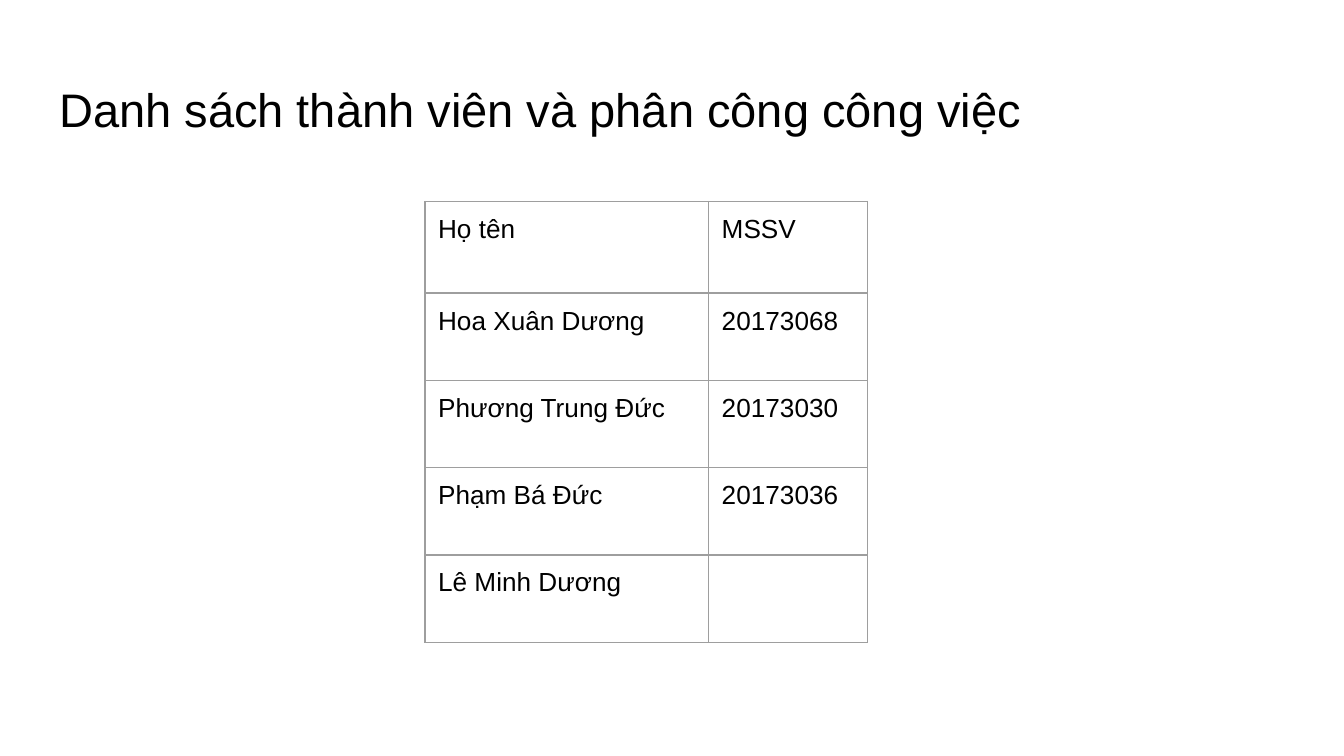
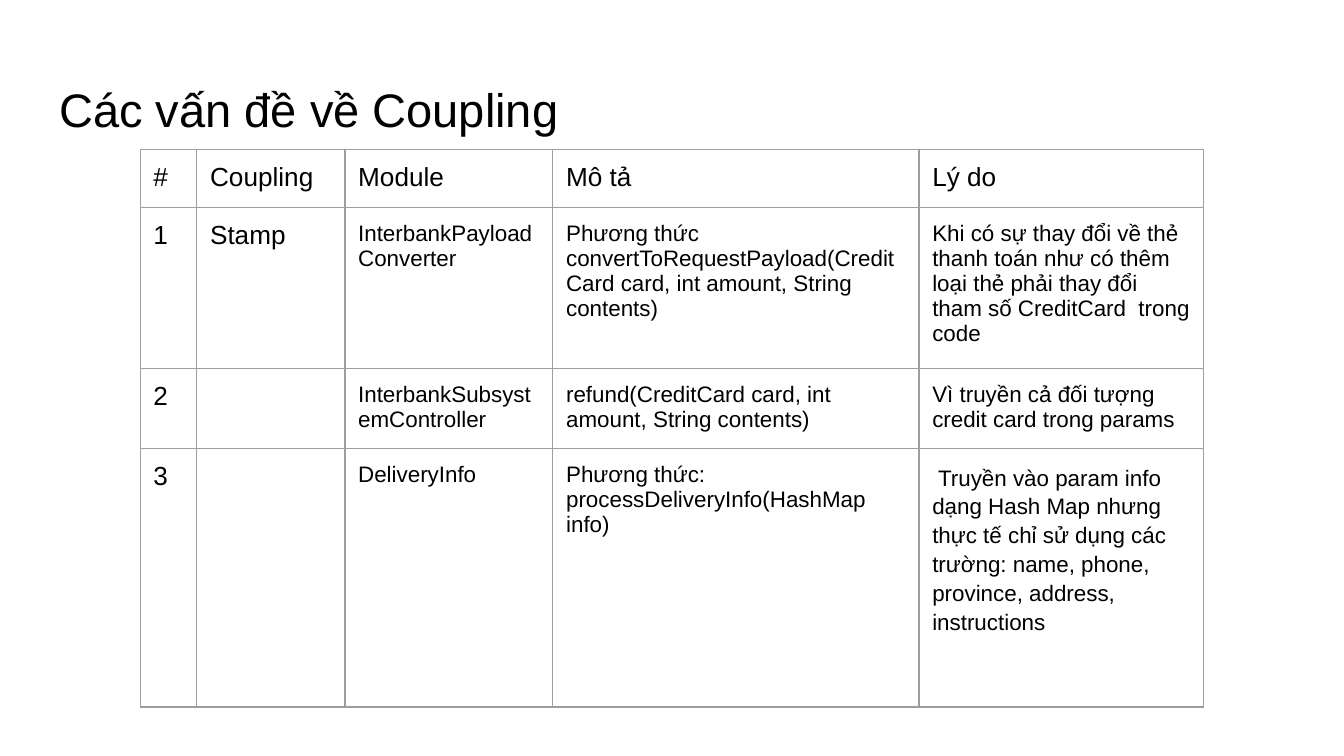
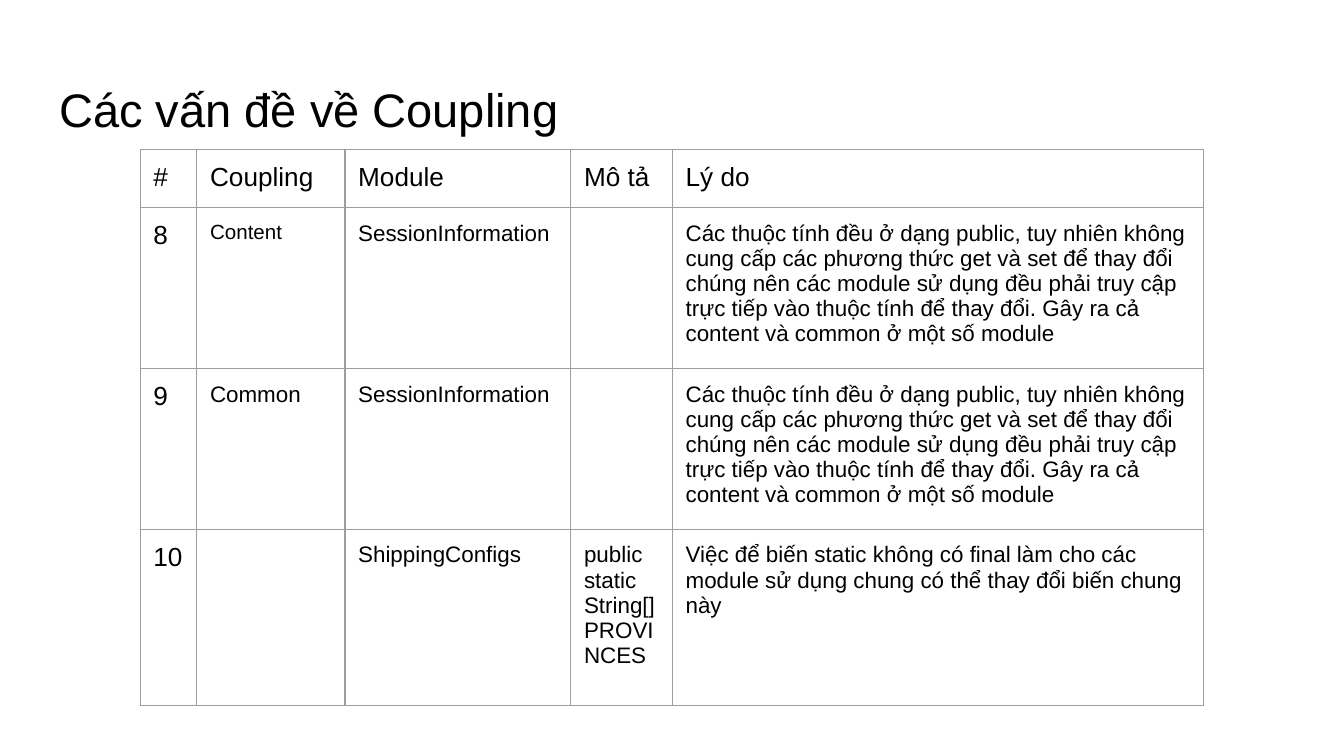
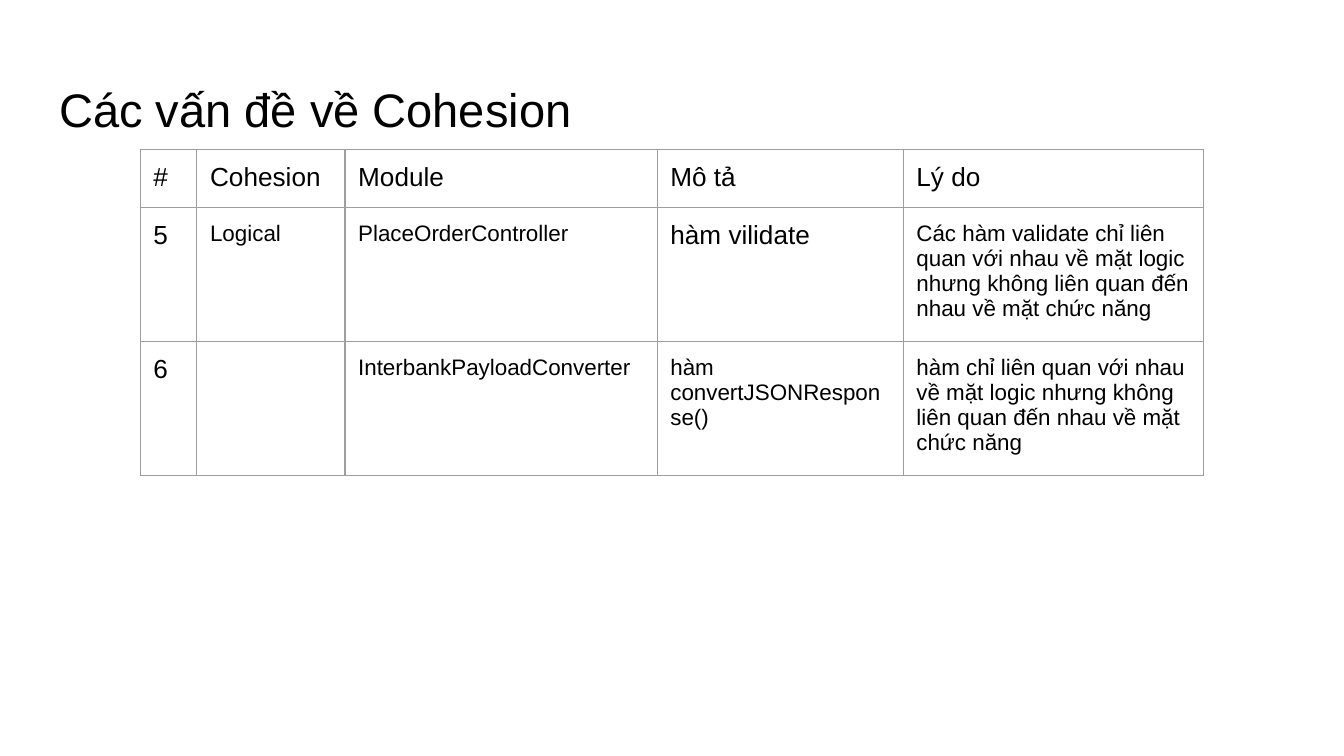
from dataclasses import dataclass

from lxml.etree import SubElement
from pptx import Presentation
from pptx.dml.color import RGBColor
from pptx.enum.text import MSO_ANCHOR as Anchor, PP_ALIGN as Align
from pptx.oxml.ns import qn
from pptx.util import Cm, Pt


@dataclass(frozen=True)
class Theme:
    font: str = "Arial"
    ink: str = "000000"
    grid: str = "9E9E9E"
    grid_width: float = 0.75
    title_size: float = 25.2
    label_size: float = 14
    detail_size: float = 12
    small_size: float = 11
    inset: float = 0.25


THEME = Theme()


@dataclass(frozen=True)
class Entry:
    """Cell text that departs from the type size or line spacing of its column."""
    text: str
    size: float = THEME.detail_size
    line_spacing: float | None = None


class Deck:
    ISSUE_LEFT, ISSUE_TOP, ISSUE_WIDTH = 2.65, 2.83, 20.1
    NUMBER_WIDTH, KIND_WIDTH = 1.07, 2.8

    def __init__(self, theme):
        self.theme = theme
        self.prs = Presentation()
        self.prs.slide_width, self.prs.slide_height = Cm(25.4), Cm(14.29)
        self.slide = None

    def add_slide(self, title):
        self.slide = self.prs.slides.add_slide(self.prs.slide_layouts[6])
        heading = self.slide.shapes.add_textbox(Cm(0.87), Cm(1.24), Cm(23.67), Cm(1.59))
        frame = heading.text_frame
        frame.word_wrap = True
        frame.vertical_anchor = Anchor.BOTTOM
        self.set_insets(frame)
        self.add_text(frame, title, self.theme.title_size)

    def set_insets(self, holder):
        inset = Cm(self.theme.inset)
        holder.margin_left = holder.margin_right = inset
        holder.margin_top = holder.margin_bottom = inset

    def add_text(self, frame, text, size, align=Align.LEFT, line_spacing=None):
        paragraph = frame.paragraphs[0]
        paragraph.alignment = align
        if line_spacing:
            paragraph.line_spacing = line_spacing
        run = paragraph.add_run()
        run.text = text
        run.font.name = self.theme.font
        run.font.size = Pt(size)
        run.font.color.rgb = RGBColor.from_string(self.theme.ink)

    def outline(self, cell):
        properties = cell._tc.get_or_add_tcPr()
        for side in ("a:lnL", "a:lnR", "a:lnT", "a:lnB"):
            border = SubElement(properties, qn(side), w=str(Pt(self.theme.grid_width)))
            fill = SubElement(border, qn("a:solidFill"))
            SubElement(fill, qn("a:srgbClr"), val=self.theme.grid)

    def add_grid(self, left, top, widths, heights, rows, style_at):
        """Draw a bordered table; style_at(row, column) gives size and alignment."""
        table = self.slide.shapes.add_table(
            len(heights), len(widths), Cm(left), Cm(top),
            Cm(sum(widths)), Cm(sum(heights))).table
        table.first_row = table.horz_banding = False
        for column, width in zip(table.columns, widths):
            column.width = Cm(width)
        for row, height in zip(table.rows, heights):
            row.height = Cm(height)
        for r, row in enumerate(rows):
            for c, content in enumerate(row):
                cell = table.cell(r, c)
                self.set_insets(cell)
                self.outline(cell)
                cell.fill.background()
                if not content:
                    continue
                size, align = style_at(r, c)
                entry = content if isinstance(content, Entry) else Entry(content, size)
                self.add_text(cell.text_frame, entry.text, entry.size, align,
                              entry.line_spacing)

    def add_members(self, heights, rows):
        self.add_grid(8.03, 3.81, [5.36, 3], heights, rows,
                      lambda r, c: (self.theme.label_size, Align.LEFT))

    def add_issues(self, kind, module_width, description_width, heights, issues):
        """List design issues; the reason column takes the remaining width."""
        widths = [self.NUMBER_WIDTH, self.KIND_WIDTH, module_width, description_width]
        widths.append(self.ISSUE_WIDTH - sum(widths))
        header = ["#", kind, "Module", "Mô tả", "Lý do"]

        def style_at(r, c):
            size = self.theme.label_size if r == 0 or c == 0 else self.theme.detail_size
            return size, Align.JUSTIFY if r == 0 or c < 2 else Align.LEFT

        self.add_grid(self.ISSUE_LEFT, self.ISSUE_TOP, widths, heights,
                      [header, *issues], style_at)


def main():
    deck = Deck(THEME)

    deck.add_slide("Danh sách thành viên và phân công công việc")
    deck.add_members([1.73] + [1.65] * 4, [
        ["Họ tên", "MSSV"],
        ["Hoa Xuân Dương", "20173068"],
        ["Phương Trung Đức", "20173030"],
        ["Phạm Bá Đức", "20173036"],
        ["Lê Minh Dương", ""],
    ])

    deck.add_slide("Các vấn đề về Coupling")
    deck.add_issues("Coupling", 3.93, 6.92, [0.94, 2.18, 1.32, 4.88], [
        ["1", Entry("Stamp", THEME.label_size), "InterbankPayloadConverter",
         "Phương thức convertToRequestPayload(CreditCard card, int amount, String contents)",
         "Khi có sự thay đổi về thẻ thanh toán như có thêm loại thẻ phải thay đổi "
         "tham số CreditCard  trong code"],
        ["2", "", "InterbankSubsystemController",
         "refund(CreditCard card, int amount, String contents)",
         "Vì truyền cả đối tượng credit card trong params"],
        ["3", "", "DeliveryInfo",
         "Phương thức: processDeliveryInfo(HashMap info)",
         Entry(" Truyền vào param info dạng Hash Map nhưng thực tế chỉ sử dụng các trường: "
               "name, phone, province, address, instructions", line_spacing=1.15)],
    ])

    public_fields = (
        "Các thuộc tính đều ở dạng public, tuy nhiên không cung cấp các phương thức get và set "
        "để thay đổi chúng nên các module sử dụng đều phải truy cập trực tiếp vào thuộc tính "
        "để thay đổi. Gây ra cả content và common ở một số module")
    deck.add_slide("Các vấn đề về Coupling")
    deck.add_issues("Coupling", 4.27, 1.92, [0.86, 2.01, 1.63, 3.33], [
        ["8", Entry("Content", THEME.small_size), "SessionInformation", "", public_fields],
        ["9", "Common", "SessionInformation", "", public_fields],
        ["10", "", "ShippingConfigs", "public static String[] PROVINCES",
         "Việc để biến static không có final làm cho các module sử dụng chung "
         "có thể thay đổi biến chung này"],
    ])

    deck.add_slide("Các vấn đề về Cohesion")
    deck.add_issues("Cohesion", 5.9, 4.65, [0.89, 1.65, 1.32], [
        ["5", "Logical", "PlaceOrderController", Entry("hàm vilidate", THEME.label_size),
         "Các hàm validate chỉ liên quan với nhau về mặt logic nhưng không liên quan "
         "đến nhau về mặt chức năng"],
        ["6", "", "InterbankPayloadConverter", "hàm convertJSONResponse()",
         "hàm chỉ liên quan với nhau về mặt logic nhưng không liên quan "
         "đến nhau về mặt chức năng"],
    ])

    deck.prs.save("out.pptx")


if __name__ == "__main__":
    main()
